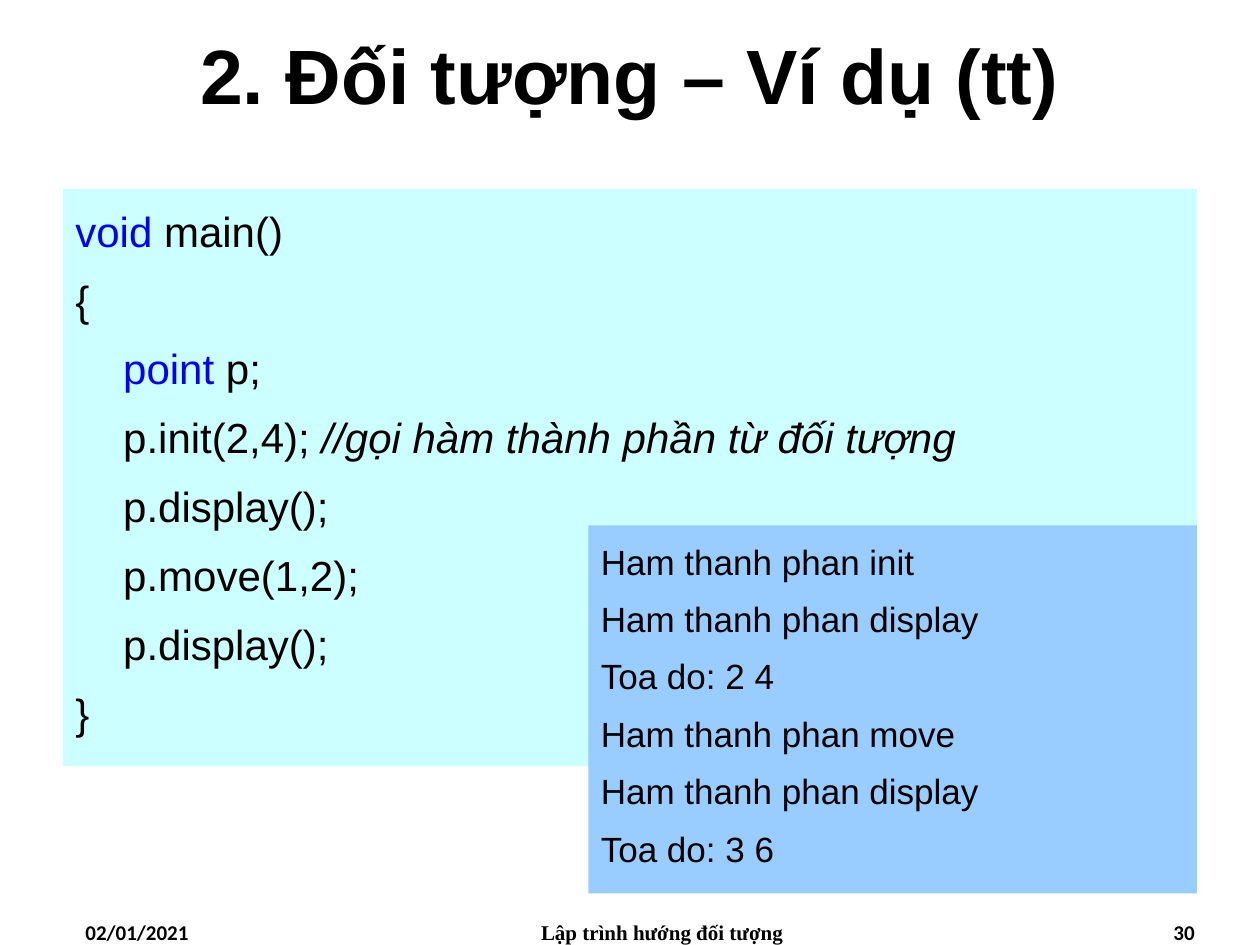
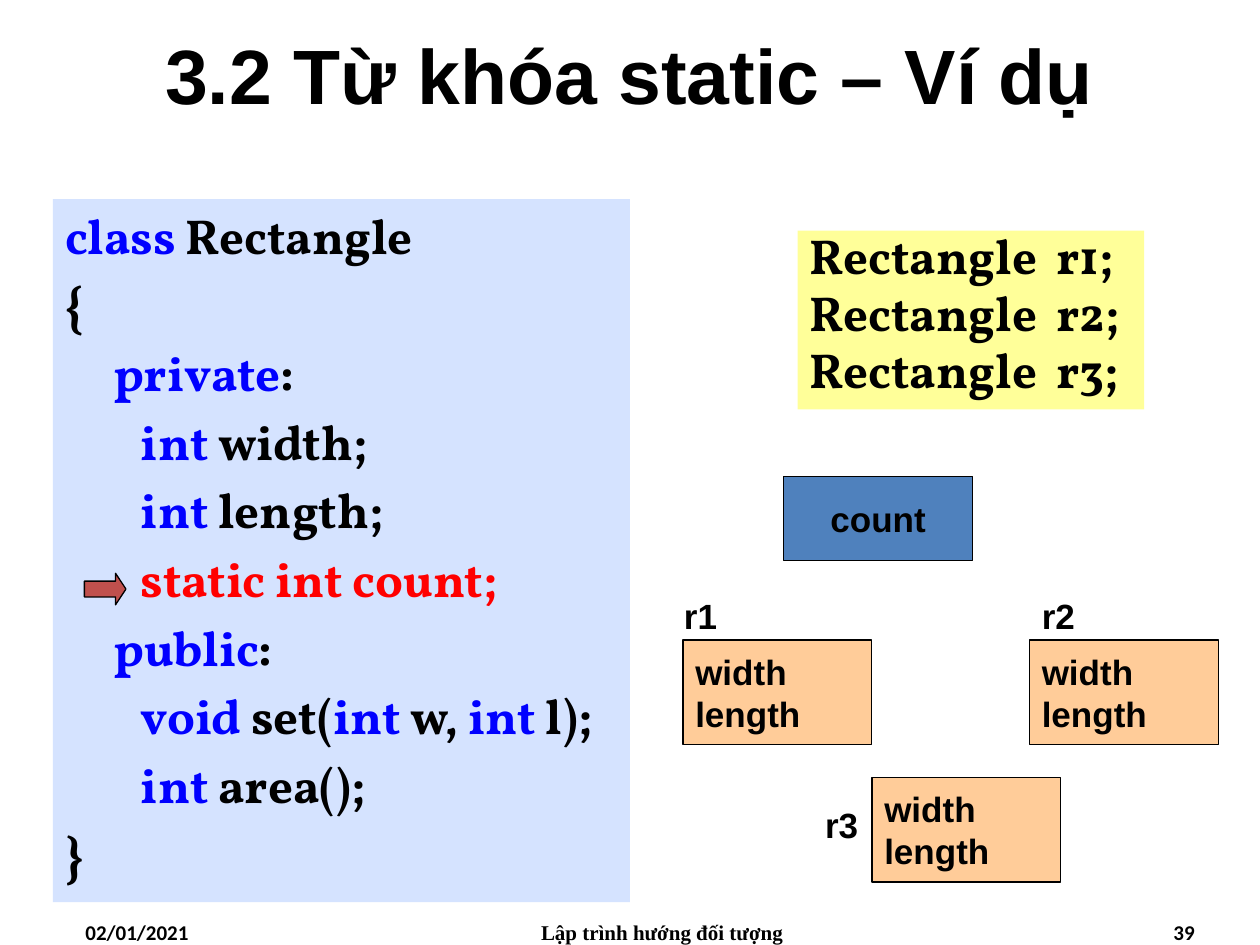
from dataclasses import dataclass
from lxml.etree import SubElement
from pptx import Presentation
from pptx.dml.color import RGBColor
from pptx.enum.shapes import MSO_SHAPE as Shape
from pptx.enum.text import MSO_ANCHOR as Anchor, PP_ALIGN as Align
from pptx.oxml.ns import qn
from pptx.util import Inches, Pt


@dataclass(frozen=True)
class Theme:
    sans: str = "Arial"
    serif: str = "Vollkorn"
    black: str = "000000"
    keyword: str = "0000FF"
    static: str = "FF0000"
    cyan: str = "CCFFFF"
    sky: str = "99CCFF"
    pale: str = "D5E3FF"
    yellow: str = "FFFF99"
    peach: str = "FFCC99"
    blue: str = "4F81BD"
    red: str = "C0504D"
    title: int = 44
    serif_code: int = 28
    sans_code: int = 24
    small: int = 20
    footer: int = 12
    outline: float = 0.75


THEME = Theme()
LEVELS = (0, 0.38, 0.6)

PLAIN = {}
KEYWORD = {"color": THEME.keyword}
STATIC = {"color": THEME.static}
COMMENT = {"italic": True}

MAIN_CODE = [
    (0, [("void", KEYWORD), (" main()", PLAIN)]),
    (0, [("{", PLAIN)]),
    (1, [("point", KEYWORD), (" p;", PLAIN)]),
    (1, [("p.init(2,4); ", PLAIN), ("//gọi hàm thành phần từ đối tượng", COMMENT)]),
    (1, [("p.display();", PLAIN)]),
    (1, [("p.move(1,2);", PLAIN)]),
    (1, [("p.display();", PLAIN)]),
    (0, [("}", PLAIN)]),
]
CONSOLE = [
    "Ham thanh phan init",
    "Ham thanh phan display",
    "Toa do: 2 4",
    "Ham thanh phan move",
    "Ham thanh phan display",
    "Toa do: 3 6",
]
CLASS_CODE = [
    (0, [("class ", KEYWORD), ("Rectangle", PLAIN)]),
    (0, [("{", PLAIN)]),
    (1, [("private", KEYWORD), (":", PLAIN)]),
    (2, [("int ", KEYWORD), ("width;", PLAIN)]),
    (2, [("int ", KEYWORD), ("length;", PLAIN)]),
    (2, [("static int count;", STATIC)]),
    (1, [("public", KEYWORD), (":", PLAIN)]),
    (2, [("void ", KEYWORD), ("set(", PLAIN), ("int ", KEYWORD), ("w, ", PLAIN),
         ("int ", KEYWORD), ("l);", PLAIN)]),
    (2, [("int ", KEYWORD), ("area();", PLAIN)]),
    (0, [("}", PLAIN)]),
]
DECLARATIONS = ["Rectangle  r1;", "Rectangle  r2;", "Rectangle  r3;"]
MEMBERS = ["width", "length"]
OBJECTS = [
    ("r1", (5.33, 4.67), (5.42, 5.08)),
    ("r2", (8.17, 4.67), (8.17, 5.08)),
    ("r3", (6.45, 6.33), (6.92, 6.17)),
]
DATE = "02/01/2021"
COURSE = "Lập trình hướng đối tượng"


def plain_lines(texts):
    return [(0, [(text, PLAIN)]) for text in texts]


def write(box, lines, size, font=THEME.sans, bold=False, align=Align.LEFT,
          anchor=Anchor.TOP, wrap=True, spacing=None, gap=False):
    frame = box.text_frame
    frame.word_wrap = wrap
    frame.vertical_anchor = anchor
    for number, (level, runs) in enumerate(lines):
        para = frame.add_paragraph() if number else frame.paragraphs[0]
        para.alignment = align
        if spacing:
            para.line_spacing = spacing
        if gap:
            para.space_before = Pt(0)
            before = para._p.pPr.find(qn("a:spcBef"))
            before.clear()
            SubElement(before, qn("a:spcPct")).set("val", "20000")
        if level:
            para._p.pPr.set("marL", str(Inches(LEVELS[level])))
        for text, style in runs:
            span = para.add_run()
            span.text = text
            span.font.name = font
            span.font.size = Pt(size)
            span.font.bold = bold
            span.font.italic = style.get("italic", False)
            span.font.color.rgb = RGBColor.from_string(style.get("color", THEME.black))


def add_text(page, area, text, size, **options):
    box = page.shapes.add_textbox(*map(Inches, area))
    write(box, plain_lines([text]), size, **options)


def add_box(page, area, fill, kind=Shape.RECTANGLE, outlined=True):
    box = page.shapes.add_shape(kind, *map(Inches, area))
    box.shadow.inherit = False
    box.fill.solid()
    box.fill.fore_color.rgb = RGBColor.from_string(fill)
    if outlined:
        box.line.color.rgb = RGBColor.from_string(THEME.black)
        box.line.width = Pt(THEME.outline)
    else:
        box.line.fill.background()
    return box


def add_panel(page, area, fill, lines, size, **options):
    box = add_box(page, area, fill, outlined=False)
    write(box, lines, size, gap=True, **options)


def add_page(deck, title, number):
    page = deck.slides.add_slide(deck.slide_layouts[6])
    add_text(page, (0, 0, 10, 1.17), title, THEME.title, bold=True,
             align=Align.CENTER, anchor=Anchor.MIDDLE)
    footers = [
        (0.58, 2.33, DATE, "Calibri", Align.LEFT),
        (3.67, 3.17, COURSE, "Times New Roman", Align.CENTER),
        (7.25, 2.33, number, "Calibri", Align.RIGHT),
    ]
    for left, width, text, font, align in footers:
        add_text(page, (left, 7.25, width, 0.25), text, THEME.footer,
                 font=font, bold=True, align=align)
    return page


def build_object_example(deck):
    page = add_page(deck, "2. Đối tượng – Ví dụ (tt)", "30")
    add_panel(page, (0.5, 1.5, 9, 4.58), THEME.cyan, MAIN_CODE,
              THEME.sans_code, spacing=1.2)
    add_panel(page, (4.67, 4.17, 4.83, 2.92), THEME.sky, plain_lines(CONSOLE),
              THEME.small, spacing=1.2)


def build_static_example(deck):
    page = add_page(deck, "3.2 Từ khóa static – Ví dụ", "39")
    serif = {"size": THEME.serif_code, "font": THEME.serif, "bold": True}
    add_panel(page, (0.42, 1.58, 4.58, 5.58), THEME.pale, CLASS_CODE, **serif)
    add_panel(page, (6.33, 1.83, 2.75, 1.42), THEME.yellow,
              plain_lines(DECLARATIONS), spacing=0.8, **serif)
    arrow = add_box(page, (0.67, 4.55, 0.33, 0.25), THEME.red, Shape.RIGHT_ARROW)
    arrow.adjustments[0] = 0.5
    arrow.adjustments[1] = 0.33
    for name, label_at, box_at in OBJECTS:
        box = add_box(page, (*box_at, 1.5, 0.83), THEME.peach)
        write(box, plain_lines(MEMBERS), THEME.small, bold=True, anchor=Anchor.MIDDLE)
        add_text(page, (*label_at, 0.47, 0.44), name, THEME.small, bold=True, wrap=False)
    count = add_box(page, (6.22, 3.78, 1.5, 0.67), THEME.blue)
    write(count, plain_lines(["count"]), THEME.small, bold=True,
          align=Align.CENTER, anchor=Anchor.MIDDLE)


def main():
    deck = Presentation()
    deck.slide_width = Inches(10)
    deck.slide_height = Inches(7.5)
    build_object_example(deck)
    build_static_example(deck)
    deck.save("out.pptx")


if __name__ == "__main__":
    main()
